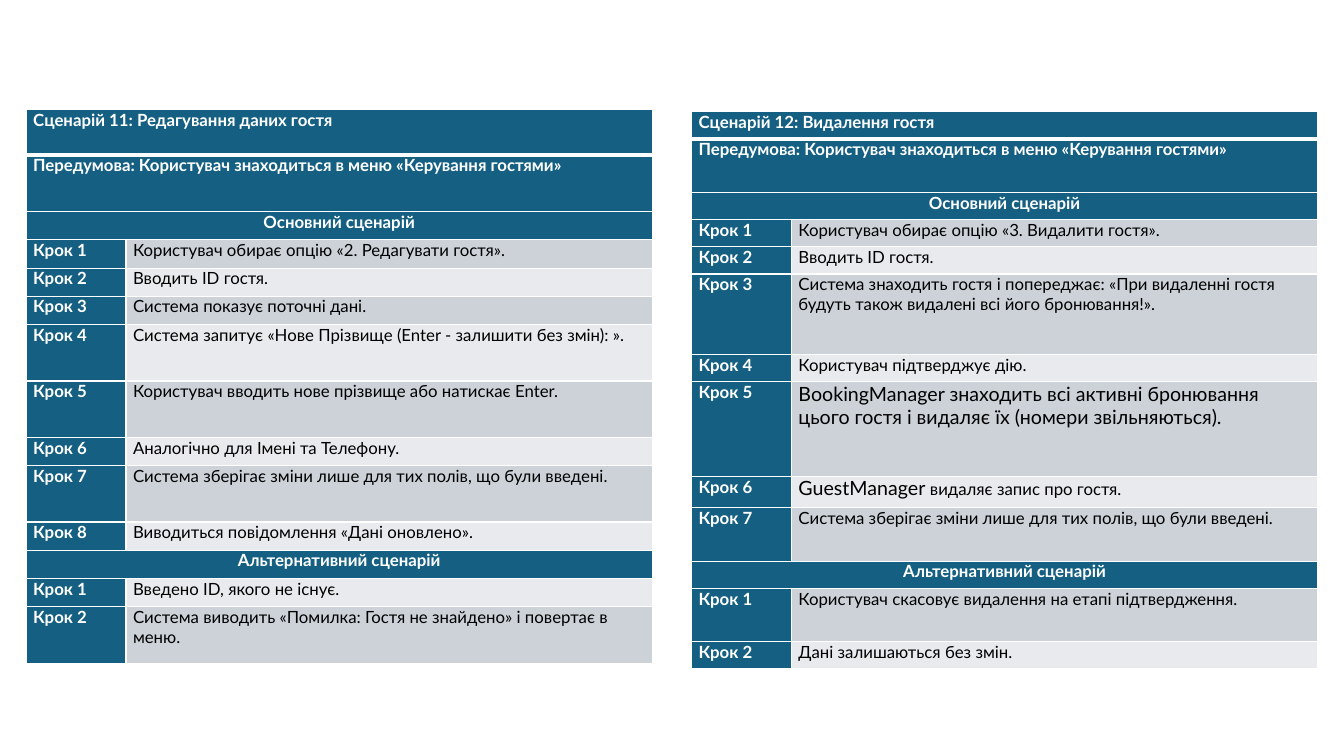
import lxml.etree
import pptx
import pptx.dml.color
import pptx.enum.text
import pptx.oxml.ns
import pptx.util

Inches = pptx.util.Inches
ALIGN = pptx.enum.text.PP_ALIGN

TEAL = "156082"
WHITE = "FFFFFF"
BLACK = "000000"
BANDS = ("E8EAED", "CCD2D8")
COLUMN_WIDTHS = (0.99, 5.22)

PRECONDITION = "Передумова: Користувач знаходиться в меню «Керування гостями»"
SAVE_STEP = "Система зберігає зміни лише для тих полів, що були введені."

# Each step holds its row height and its runs as (text, size) pairs.
EDIT_GUEST = {
    "title": ("Сценарій 11: Редагування даних гостя", 0.45),
    "precondition_height": 0.56,
    "heading_height": 0.28,
    "main": [
        (0.28, [("Користувач обирає опцію «2. Редагувати гостя».", 12)]),
        (0.28, [("Вводить ID гостя.", 12)]),
        (0.28, [("Система показує поточні дані.", 12)]),
        (0.56, [("Система запитує «Нове Прізвище (Enter - залишити без змін): ».", 12)]),
        (0.56, [("Користувач вводить нове прізвище або натискає Enter.", 12)]),
        (0.28, [("Аналогічно для Імені та Телефону.", 12)]),
        (0.56, [(SAVE_STEP, 12)]),
        (0.28, [("Виводиться повідомлення «Дані оновлено».", 12)]),
    ],
    "alternative": [
        (0.28, [("Введено ID, якого не існує.", 12)]),
        (0.56, [("Система виводить «Помилка: Гостя не знайдено» і повертає в меню.", 12)]),
    ],
}
DELETE_GUEST = {
    "title": ("Сценарій 12: Видалення гостя", 0.27),
    "precondition_height": 0.53,
    "heading_height": 0.27,
    "main": [
        (0.27, [("Користувач обирає опцію «3. Видалити гостя».", 12)]),
        (0.27, [("Вводить ID гостя.", 12)]),
        (0.8, [("Система знаходить гостя і попереджає: «При видаленні гостя "
                "будуть також видалені всі його бронювання!».", 12)]),
        (0.27, [("Користувач підтверджує дію.", 12)]),
        (0.94, [("BookingManager знаходить всі активні бронювання цього гостя "
                 "і видаляє їх (номери звільняються).", 14)]),
        (0.31, [("GuestManager", 14), (" видаляє запис про гостя.", 12)]),
        (0.53, [(SAVE_STEP, 12)]),
    ],
    "alternative": [
        (0.53, [("Користувач скасовує видалення на етапі підтвердження.", 12)]),
        (0.27, [("Дані залишаються без змін.", 12)]),
    ],
}


def rgb(value):
    return pptx.dml.color.RGBColor.from_string(value)


def add_text(paragraph, text, size=12, color=WHITE, bold=True):
    run = paragraph.add_run()
    run.text = text
    run.font.name = "Lato"
    run.font.size = pptx.util.Pt(size)
    run.font.bold = bold
    run.font.color.rgb = rgb(color)


def add_borders(cell, top=1, bottom=1):
    """Draw white cell borders; must run before the cell gets its fill."""
    properties = cell._tc.get_or_add_tcPr()
    for side, width in (("L", 1), ("R", 1), ("T", top), ("B", bottom)):
        line = lxml.etree.SubElement(
            properties, pptx.oxml.ns.qn(f"a:ln{side}"), w=str(pptx.util.Pt(width)))
        fill = lxml.etree.SubElement(line, pptx.oxml.ns.qn("a:solidFill"))
        lxml.etree.SubElement(fill, pptx.oxml.ns.qn("a:srgbClr"), val=WHITE)


def style_cell(cell, row_index, fill):
    cell.margin_left = cell.margin_right = Inches(0.07)
    cell.margin_top = cell.margin_bottom = 0
    add_borders(cell, top=3 if row_index == 1 else 1,
                bottom=3 if row_index == 0 else 1)
    cell.fill.solid()
    cell.fill.fore_color.rgb = rgb(fill)


def fill_heading(table, row_index, text, align=ALIGN.LEFT):
    """Fill a row that spans both columns."""
    first, second = table.cell(row_index, 0), table.cell(row_index, 1)
    for cell in (first, second):
        style_cell(cell, row_index, TEAL)
    first.merge(second)
    paragraph = first.text_frame.paragraphs[0]
    paragraph.alignment = align
    add_text(paragraph, text)


def fill_steps(table, first_row, steps):
    for number, (_, runs) in enumerate(steps, 1):
        row_index = first_row + number - 1
        label, action = table.cell(row_index, 0), table.cell(row_index, 1)
        style_cell(label, row_index, TEAL)
        add_text(label.text_frame.paragraphs[0], f"Крок {number}")
        style_cell(action, row_index, BANDS[row_index % 2])
        for text, size in runs:
            add_text(action.text_frame.paragraphs[0], text,
                     size=size, color=BLACK, bold=False)


def add_scenario(slide, left, top, scenario):
    title, title_height = scenario["title"]
    main_steps, alternative_steps = scenario["main"], scenario["alternative"]
    heading_height = scenario["heading_height"]
    heights = [title_height, scenario["precondition_height"], heading_height,
               *(height for height, _ in main_steps), heading_height,
               *(height for height, _ in alternative_steps)]
    table = slide.shapes.add_table(
        len(heights), len(COLUMN_WIDTHS), Inches(left), Inches(top),
        Inches(sum(COLUMN_WIDTHS)), Inches(sum(heights))).table
    for column, width in zip(table.columns, COLUMN_WIDTHS):
        column.width = Inches(width)
    for row, height in zip(table.rows, heights):
        row.height = Inches(height)

    alternative_row = 3 + len(main_steps)
    fill_heading(table, 0, title)
    fill_heading(table, 1, PRECONDITION)
    fill_heading(table, 2, "Основний сценарій", align=ALIGN.CENTER)
    fill_steps(table, 3, main_steps)
    fill_heading(table, alternative_row, "Альтернативний сценарій", align=ALIGN.CENTER)
    fill_steps(table, alternative_row + 1, alternative_steps)


def main():
    presentation = pptx.Presentation()
    presentation.slide_width = Inches(13.33)
    presentation.slide_height = Inches(7.5)
    slide = presentation.slides.add_slide(presentation.slide_layouts[6])
    add_scenario(slide, 0.26, 1.09, EDIT_GUEST)
    add_scenario(slide, 6.86, 1.11, DELETE_GUEST)
    presentation.save("out.pptx")


if __name__ == "__main__":
    main()
